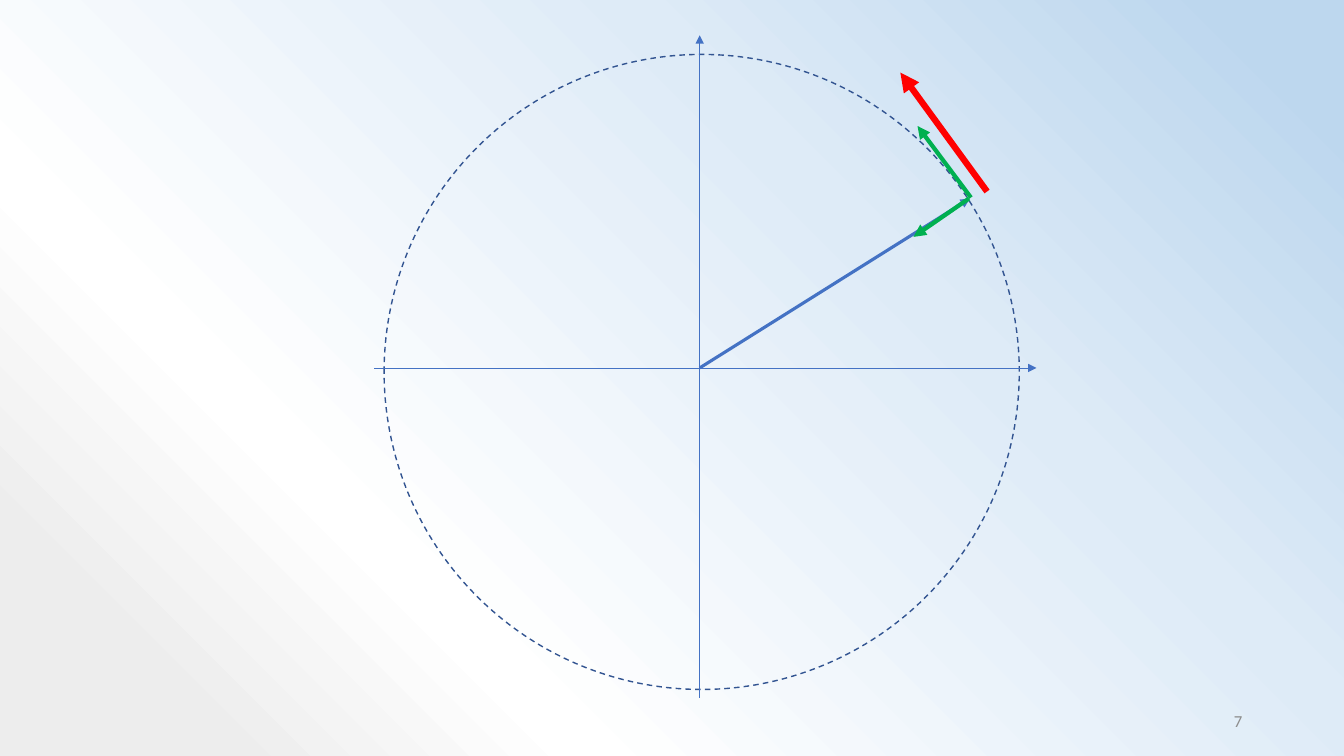
from dataclasses import dataclass

from lxml import etree
from pptx import Presentation
from pptx import util as u
from pptx.dml import color
from pptx.enum import dml, shapes, text
from pptx.oxml import ns, parse_xml
from pptx.slide import Slide

Point = tuple[float, float]


@dataclass(frozen=True)
class Theme:
    """Colours, type and line widths of the slide."""
    font: str = "Calibri"
    number_size: float = 12
    number: str = "8C8C8C"
    orbit: str = "325491"
    axis: str = "4472C4"
    velocity: str = "FF0000"
    acceleration: str = "00B050"
    orbit_width: float = 1
    axis_width: float = 0.5
    radius_width: float = 2.25
    velocity_width: float = 4.5
    acceleration_width: float = 3
    backdrop: tuple[tuple[int, str], ...] = (
        (6, "BDD7EE"), (34, "DEEBF7"), (72, "FFFFFF"), (89, "EDEDED"))


@dataclass(frozen=True)
class Arrow:
    """A straight arrow from its start to its tip."""
    start: Point
    tip: Point
    colour: str
    width: float


THEME = Theme()
ORIGIN_X, ORIGIN_Y = 6.94, 3.65
ARROWS = (
    Arrow((3.71, ORIGIN_Y), (10.28, ORIGIN_Y), THEME.axis, THEME.axis_width),
    Arrow((ORIGIN_X, 6.92), (ORIGIN_X, 0.35), THEME.axis, THEME.axis_width),
    Arrow((ORIGIN_X, ORIGIN_Y), (9.62, 1.97), THEME.axis, THEME.radius_width),
    Arrow((9.79, 1.9), (8.93, 0.72), THEME.velocity, THEME.velocity_width),
    Arrow((9.63, 1.96), (9.1, 1.25), THEME.acceleration, THEME.acceleration_width),
    Arrow((9.61, 1.97), (9.06, 2.35), THEME.acceleration, THEME.acceleration_width),
)


def paint_backdrop(slide: Slide) -> None:
    """Fill the background with a gradient spreading from the top right corner."""
    slide.background.fill.solid()
    properties = slide.element.find(".//" + ns.qn("p:bgPr"))
    stops = "".join(
        f'<a:gs pos="{share * 1000}"><a:srgbClr val="{colour}"/></a:gs>'
        for share, colour in THEME.backdrop)
    gradient = parse_xml(
        f'<a:gradFill {ns.nsdecls("a")} rotWithShape="1"><a:gsLst>{stops}</a:gsLst>'
        '<a:path path="circle"><a:fillToRect l="100000" b="100000"/></a:path>'
        '<a:tileRect t="-100000" r="-100000"/></a:gradFill>')
    properties.replace(properties.find(ns.qn("a:solidFill")), gradient)


def draw_orbit(slide: Slide, left: float, top: float, diameter: float) -> None:
    """Draw the dashed circular path."""
    orbit = slide.shapes.add_shape(
        shapes.MSO_SHAPE.OVAL, u.Inches(left), u.Inches(top),
        u.Inches(diameter), u.Inches(diameter))
    orbit.shadow.inherit = False
    orbit.fill.background()
    orbit.line.color.rgb = color.RGBColor.from_string(THEME.orbit)
    orbit.line.width = u.Pt(THEME.orbit_width)
    orbit.line.dash_style = dml.MSO_LINE.DASH


def draw_arrow(slide: Slide, arrow: Arrow) -> None:
    """Draw one line with a triangular head at its tip."""
    vector = slide.shapes.add_connector(
        shapes.MSO_CONNECTOR.STRAIGHT,
        *(u.Inches(value) for value in arrow.start + arrow.tip))
    vector.line.color.rgb = color.RGBColor.from_string(arrow.colour)
    vector.line.width = u.Pt(arrow.width)
    etree.SubElement(vector.line._get_or_add_ln(), ns.qn("a:tailEnd"), type="triangle")
    etree.SubElement(vector.element.spPr, ns.qn("a:effectLst"))


def write_number(slide: Slide, number: str) -> None:
    """Write the slide number at the lower right."""
    frame = slide.shapes.add_textbox(
        u.Inches(9.42), u.Inches(6.95), u.Inches(3), u.Inches(0.4)).text_frame
    frame.word_wrap = True
    frame.vertical_anchor = text.MSO_ANCHOR.MIDDLE
    paragraph = frame.paragraphs[0]
    paragraph.alignment = text.PP_ALIGN.RIGHT
    run = paragraph.add_run()
    run.text = number
    run.font.name = THEME.font
    run.font.size = u.Pt(THEME.number_size)
    run.font.color.rgb = color.RGBColor.from_string(THEME.number)


def main() -> None:
    """Build and save the circular motion slide."""
    deck = Presentation()
    deck.slide_width, deck.slide_height = u.Inches(13.33), u.Inches(7.5)
    slide = deck.slides.add_slide(deck.slide_layouts[6])
    paint_backdrop(slide)
    write_number(slide, "7")
    draw_orbit(slide, 3.81, 0.54, 6.3)
    for arrow in ARROWS:
        draw_arrow(slide, arrow)
    deck.save("out.pptx")


if __name__ == "__main__":
    main()
